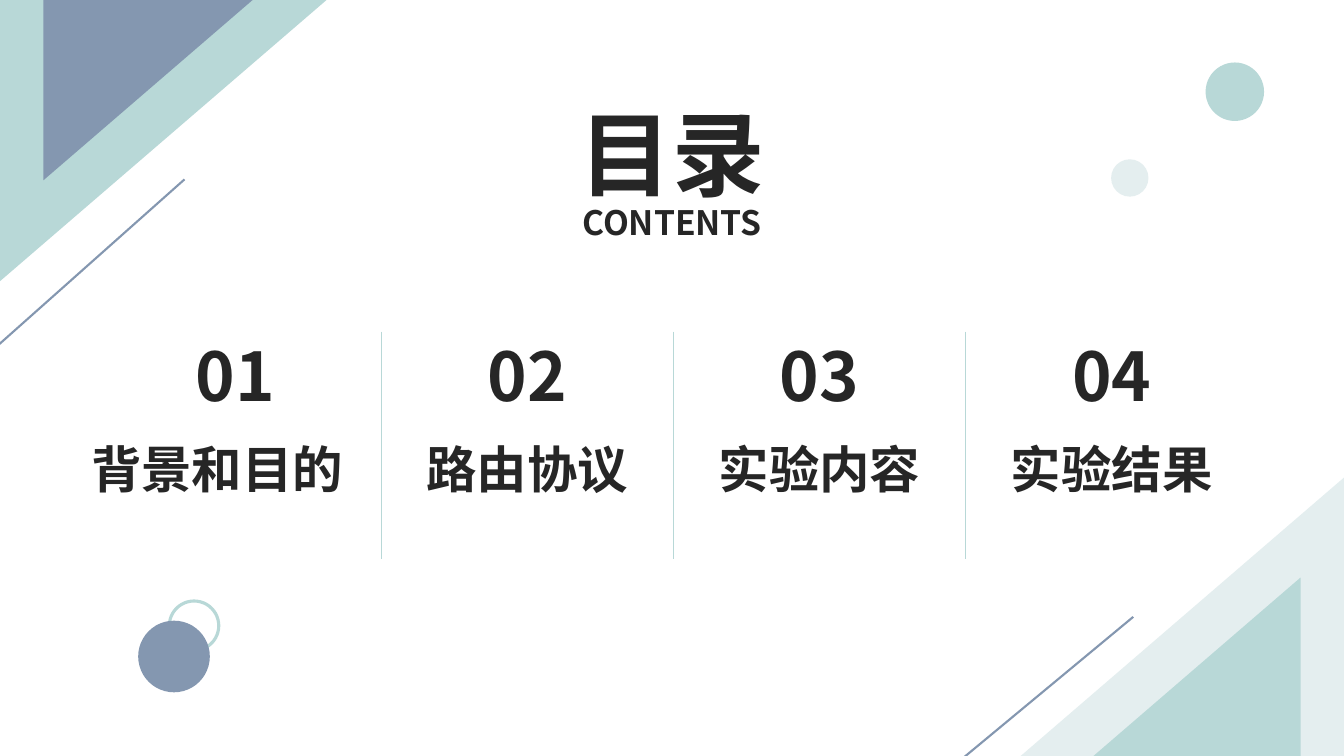
import pptx
import pptx.dml.color
import pptx.enum.shapes
import pptx.enum.text
import pptx.oxml
import pptx.util
from dataclasses import dataclass

SLIDE_WIDTH = pptx.util.Inches(13.33)
SLIDE_HEIGHT = pptx.util.Inches(7.5)
FIRST_CENTER, COLUMN = 17.5, 21.74

CHAPTERS = [
    # title, title width, shift from the column's center
    ("背景和目的", 20.8, -1.35),
    ("路由协议", 18.3, 0),
    ("实验内容", 18.3, 0),
    ("实验结果", 18.3, 0),
]


@dataclass(frozen=True)
class Theme:
    font: str = "Noto Sans CJK SC"
    ink: str = "262626"
    teal: str = "B8D8D7"
    slate: str = "8497B0"
    mist: str = "E4EEEF"
    heading: int = 66
    number: int = 48
    chapter: int = 36
    subheading: int = 24
    divider: float = 0.5
    stripe: float = 1.5
    ring: float = 2.25


THEME = Theme()


def across(share):
    """Length for a percentage of the slide's width."""
    return round(SLIDE_WIDTH * share / 100)


def down(share):
    """Length for a percentage of the slide's height."""
    return round(SLIDE_HEIGHT * share / 100)


def rgb(color):
    return pptx.dml.color.RGBColor.from_string(color)


def add_label(slide, text, center, top, width, height, size):
    label = slide.shapes.add_textbox(
        across(center - width / 2), down(top), across(width), down(height))
    frame = label.text_frame
    frame.text = text
    frame.word_wrap = True
    frame.auto_size = pptx.enum.text.MSO_AUTO_SIZE.SHAPE_TO_FIT_TEXT
    paragraph = frame.paragraphs[0]
    paragraph.alignment = pptx.enum.text.PP_ALIGN.CENTER
    run = paragraph.runs[0]
    run.font.name = THEME.font
    run.font.size = pptx.util.Pt(size)
    run.font.bold = True
    run.font.color.rgb = rgb(THEME.ink)
    east_asian = pptx.oxml.parse_xml(
        '<a:ea xmlns:a="http://schemas.openxmlformats.org/drawingml/2006/main"'
        f' typeface="{THEME.font}"/>')
    run.font._element.find("{*}latin").addnext(east_asian)


def add_corner(slide, left, top, flip, color):
    """Right-angled triangle; flip is the flipH or flipV attribute."""
    large = color in (THEME.teal, THEME.mist) and flip_is_outer(left, top)
    width, height = (24.3, 37.2) if large else (22.8, 34.93)
    corner = slide.shapes.add_shape(
        pptx.enum.shapes.MSO_SHAPE.ISOSCELES_TRIANGLE,
        across(left), down(top), across(width), down(height))
    corner.adjustments[0] = 0
    corner._element.spPr.xfrm.set(flip, "1")
    corner.shadow.inherit = False
    corner.fill.solid()
    corner.fill.fore_color.rgb = rgb(color)
    corner.line.fill.background()


def flip_is_outer(left, top):
    """Outer triangles start at the slide's corner or reach its right edge."""
    return (left, top) in ((0, 0), (75.77, 63.07))


def add_circle(slide, left, top, diameter, fill=None, outline=None):
    circle = slide.shapes.add_shape(
        pptx.enum.shapes.MSO_SHAPE.OVAL,
        across(left), down(top), across(diameter), across(diameter))
    circle.shadow.inherit = False
    if fill:
        circle.fill.solid()
        circle.fill.fore_color.rgb = rgb(fill)
    else:
        circle.fill.background()
    if outline:
        circle.line.color.rgb = rgb(outline)
        circle.line.width = pptx.util.Pt(THEME.ring)
    else:
        circle.line.fill.background()


def add_rule(slide, start, end, color, weight):
    rule = slide.shapes.add_connector(
        pptx.enum.shapes.MSO_CONNECTOR.STRAIGHT,
        across(start[0]), down(start[1]), across(end[0]), down(end[1]))
    rule.line.color.rgb = rgb(color)
    rule.line.width = pptx.util.Pt(weight)
    rule._element.spPr.append(pptx.oxml.parse_xml(
        '<a:effectLst xmlns:a="http://schemas.openxmlformats.org/drawingml/2006/main"/>'))


def add_chapters(slide):
    for index, (title, width, shift) in enumerate(CHAPTERS):
        center = FIRST_CENTER + index * COLUMN
        add_label(slide, title, center + shift, 57.33, width, 9.5, THEME.chapter)
        add_label(slide, f"{index + 1:02}", center, 43.6, 8.5, 12.1, THEME.number)
        if index < len(CHAPTERS) - 1:
            edge = center + COLUMN / 2
            add_rule(slide, (edge, 43.87), (edge, 74), THEME.teal, THEME.divider)


def add_decoration(slide):
    add_corner(slide, 0, 0, "flipV", THEME.teal)
    add_corner(slide, 3.23, -11.07, "flipV", THEME.slate)
    add_rule(slide, (-2.63, 49.6), (13.73, 23.73), THEME.slate, THEME.stripe)
    add_corner(slide, 75.77, 63.07, "flipH", THEME.mist)
    add_corner(slide, 73.97, 76.4, "flipH", THEME.teal)
    add_rule(slide, (84.32, 81.6), (67.14, 106.93), THEME.slate, THEME.stripe)
    add_circle(slide, 89.7, 8.27, 4.35, fill=THEME.teal)
    add_circle(slide, 12.6, 79.5, 3.68, outline=THEME.teal)
    add_circle(slide, 10.28, 82.1, 5.33, fill=THEME.slate)
    add_circle(slide, 82.67, 21.07, 2.78, fill=THEME.mist)


def main():
    deck = pptx.Presentation()
    deck.slide_width, deck.slide_height = SLIDE_WIDTH, SLIDE_HEIGHT
    slide = deck.slides.add_slide(deck.slide_layouts[6])
    add_decoration(slide)
    add_label(slide, "目录", 50, 12.13, 16.95, 16.13, THEME.heading)
    add_label(slide, "CONTENTS", 50, 26, 16.95, 6.67, THEME.subheading)
    add_chapters(slide)
    deck.save("out.pptx")


if __name__ == "__main__":
    main()
